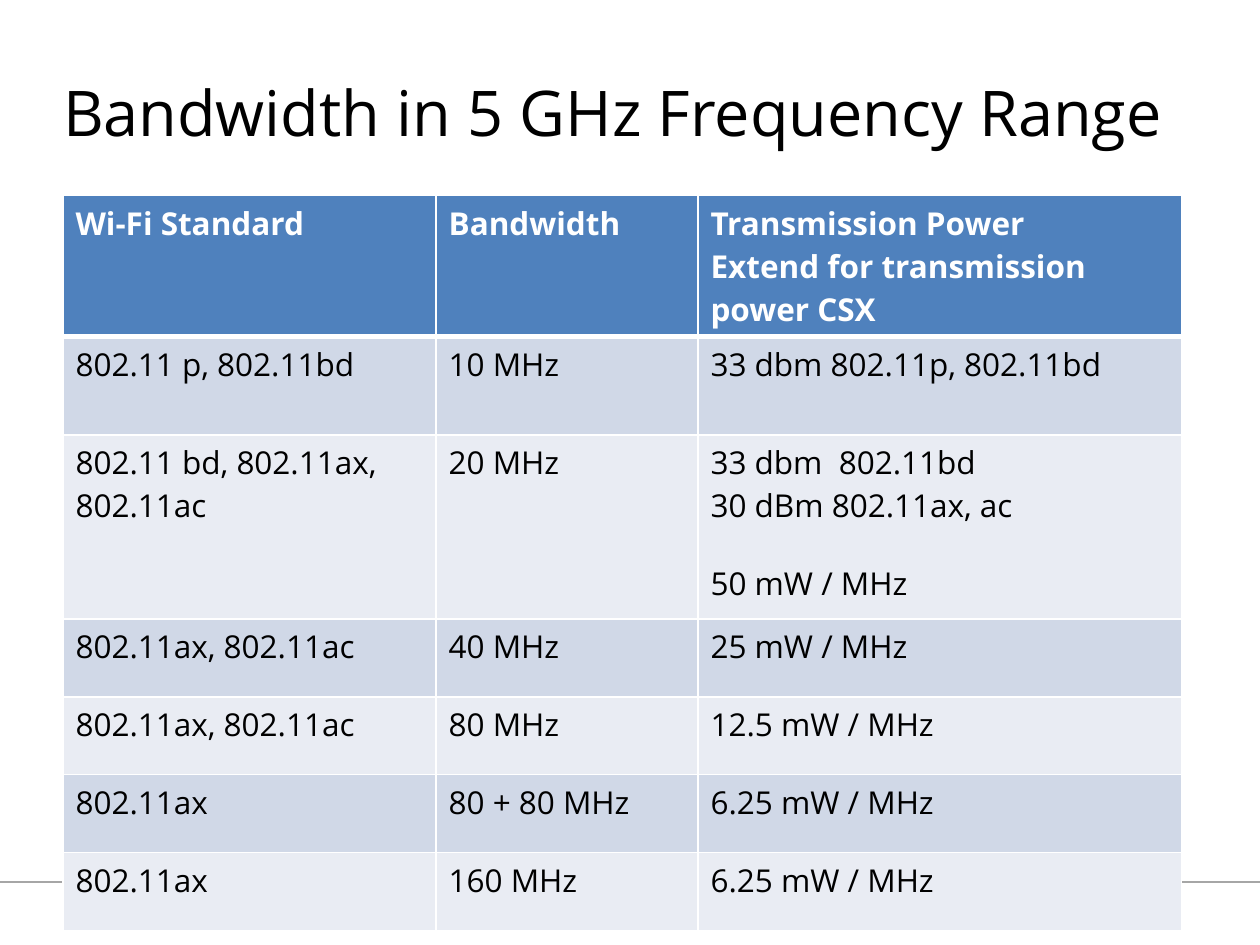
from lxml import etree
from pptx import Presentation
from pptx import util as u
from pptx.dml.color import RGBColor
from pptx.enum import shapes, text
from pptx.oxml.ns import qn

FONT = "Open Sans"
HEADER = ["Wi-Fi Standard", "Bandwidth",
          ["Transmission Power", "Extend for transmission power CSX"]]
ROWS = [
    ["802.11 p, 802.11bd", "10 MHz", "33 dbm 802.11p, 802.11bd"],
    [["802.11 bd, 802.11ax,", "802.11ac"], "20 MHz",
     ["33 dbm  802.11bd", "30 dBm 802.11ax, ac", "50 mW / MHz"]],
    ["802.11ax, 802.11ac", "40 MHz", "25 mW / MHz"],
    ["802.11ax, 802.11ac", "80 MHz", "12.5 mW / MHz"],
    ["802.11ax", "80 + 80 MHz", "6.25 mW / MHz"],
    ["802.11ax", "160 MHz", "6.25 mW / MHz"],
]
COLS = [7.52, 5.28, 9.75]
HEIGHTS = [1.57, 1.98, 3.71] + [1.57] * 4


def rgb(value):
    return RGBColor.from_string(value)


def write(tf, lines, size=18, color="000000", bold=False, spacing=1.0):
    lines = [lines] if isinstance(lines, str) else lines
    for i, line in enumerate(lines):
        p = tf.add_paragraph() if i else tf.paragraphs[0]
        p.alignment = text.PP_ALIGN.LEFT
        p.line_spacing = spacing
        r = p.add_run()
        r.text = line
        r.font.name, r.font.size, r.font.bold = FONT, u.Pt(size), bold
        r.font.color.rgb = rgb(color)


def border(cell, **widths):
    pr = cell._tc.get_or_add_tcPr()
    for i, side in enumerate("LRTB"):
        ln = etree.Element(qn("a:ln" + side), w=str(u.Pt(widths.get(side, 0.96))))
        fill = etree.SubElement(ln, qn("a:solidFill"))
        etree.SubElement(fill, qn("a:srgbClr"), val="FFFFFF")
        pr.insert(i, ln)


def add_title(s, x, y, w, h):
    sp = s.shapes.title
    sp.left, sp.top, sp.width, sp.height = map(u.Cm, (x, y, w, h))
    tf = sp.text_frame
    tf.word_wrap = True
    tf.auto_size = text.MSO_AUTO_SIZE.NONE
    tf.vertical_anchor = text.MSO_ANCHOR.MIDDLE
    tf.margin_left = tf.margin_right = tf.margin_top = tf.margin_bottom = 0
    write(tf, "Bandwidth in 5 GHz Frequency Range", size=36, spacing=0.9)


def add_footer_line(s, x, y, w):
    c = s.shapes.add_connector(shapes.MSO_CONNECTOR.STRAIGHT,
                               u.Cm(x), u.Cm(y), u.Cm(x + w), u.Cm(y))
    c.line.color.rgb = rgb("A6A6A6")
    c.line.width = u.Pt(1)
    etree.SubElement(c._element.spPr, qn("a:effectLst"))


def add_bandwidth_table(s, x, y):
    data = [HEADER] + ROWS
    tbl = s.shapes.add_table(len(data), len(COLS), u.Cm(x), u.Cm(y),
                             u.Cm(sum(COLS)), u.Cm(sum(HEIGHTS))).table
    for col, width in zip(tbl.columns, COLS):
        col.width = u.Cm(width)
    for i, (row, height) in enumerate(zip(data, HEIGHTS)):
        tbl.rows[i].height = u.Cm(height)
        for j, lines in enumerate(row):
            cell = tbl.cell(i, j)
            cell.fill.solid()
            cell.fill.fore_color.rgb = rgb(
                "4F81BD" if i == 0 else "D0D8E7" if i % 2 else "E9ECF3")
            write(cell.text_frame, lines, bold=i == 0,
                  color="000000" if i else "FFFFFF")
            border(cell, T=3 if i == 1 else 0.96, B=0.96 if i else 3)
    tbl.cell(2, 2).text_frame.paragraphs[-1].space_before = u.Pt(20)


def main():
    prs = Presentation()
    prs.slide_width, prs.slide_height = u.Cm(25.4), u.Cm(19.05)
    s = prs.slides.add_slide(prs.slide_layouts[5])
    add_footer_line(s, 0, 17.78, 25.4)
    add_title(s, 1.27, 0.76, 22.86, 3.18)
    add_bandwidth_table(s, 1.27, 3.94)
    prs.save("out.pptx")


if __name__ == "__main__":
    main()
